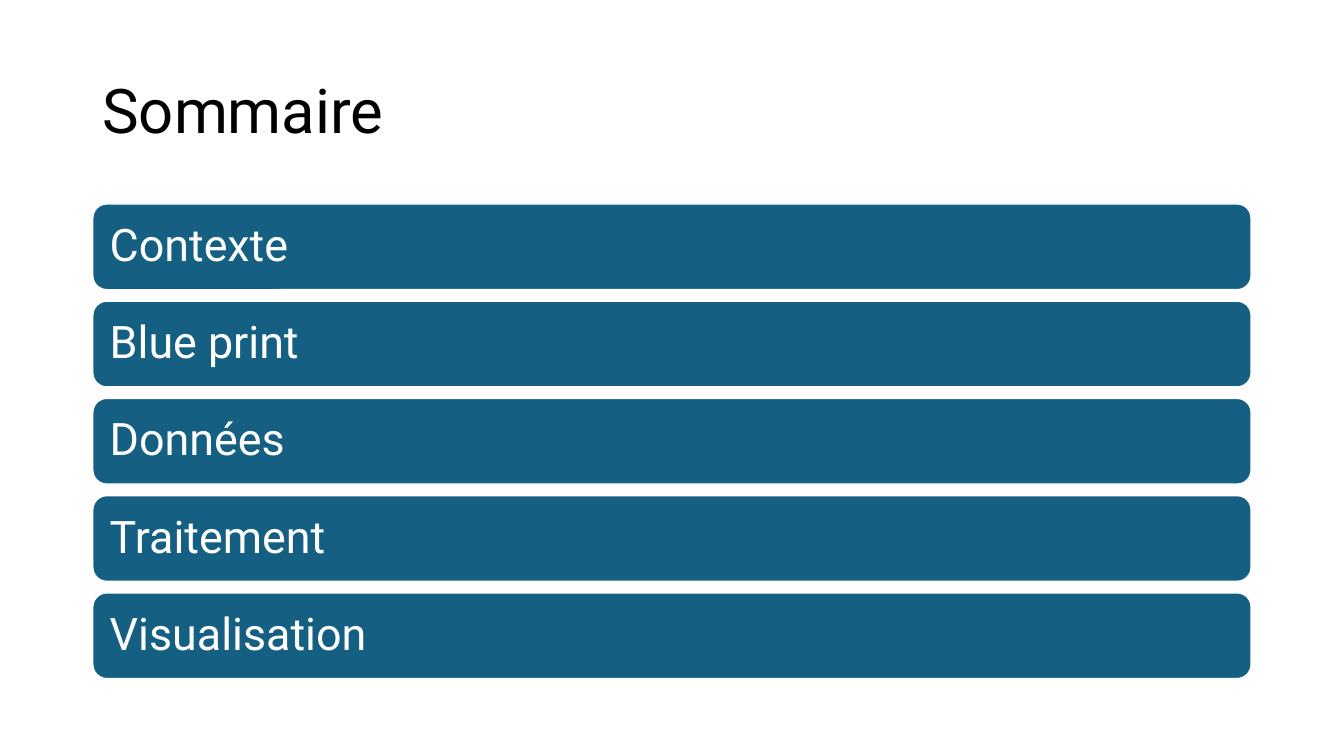
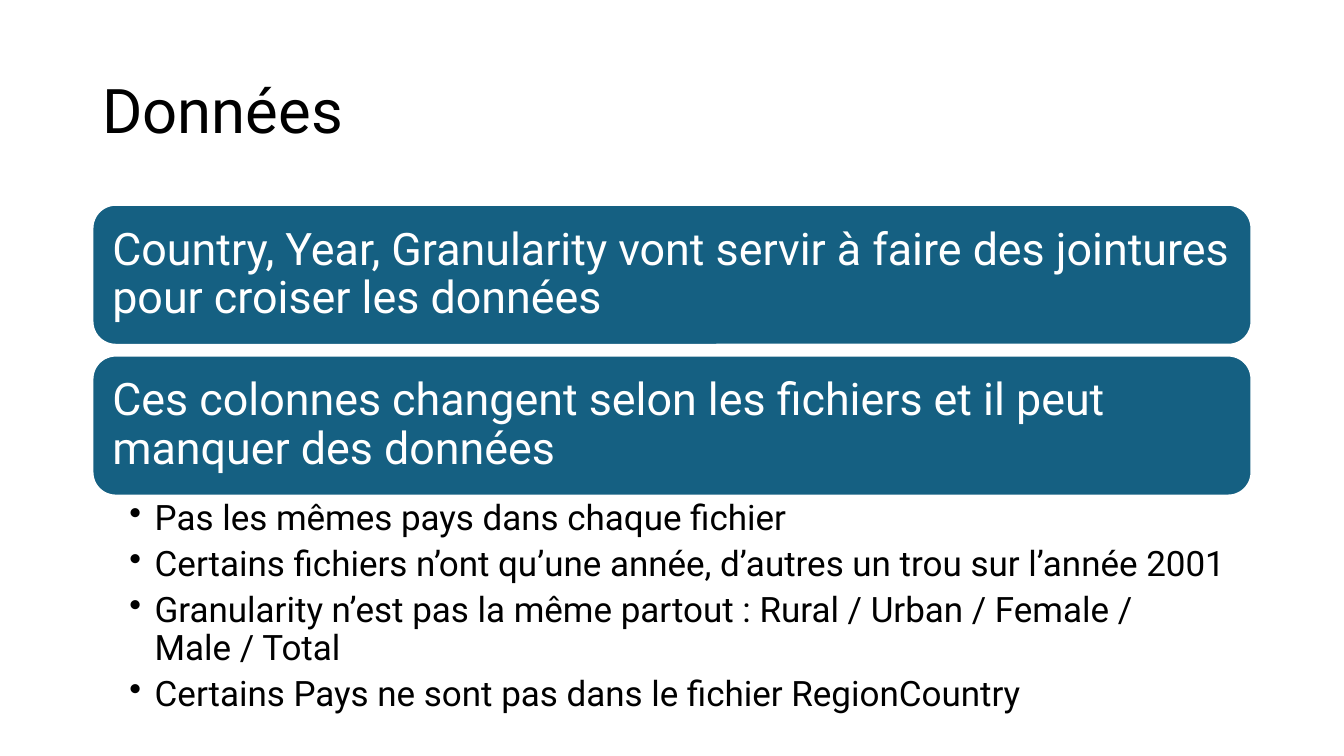
import lxml.etree
import pptx
import pptx.dml.color
import pptx.enum.shapes
import pptx.enum.text
import pptx.oxml.ns
import pptx.util

Cm = pptx.util.Cm
Pt = pptx.util.Pt

FONT = "Roboto"
BLUE = "156082"
WHITE = "FFFFFF"
BLACK = "000000"
LEFT, WIDTH = 2.33, 29.21
BAR_GAP = 0.27
BAR_INSET = 0.33


def color(value):
    return pptx.dml.color.RGBColor.from_string(value)


def set_frame(frame, anchor, left, top, right, bottom):
    frame.word_wrap = True
    frame.vertical_anchor = anchor
    frame.margin_left, frame.margin_top = Cm(left), Cm(top)
    frame.margin_right, frame.margin_bottom = Cm(right), Cm(bottom)


def write(paragraph, text, size, ink):
    paragraph.alignment = pptx.enum.text.PP_ALIGN.LEFT
    paragraph.line_spacing = 0.9
    run = paragraph.add_run()
    run.text = text
    run.font.name = FONT
    run.font.size = Pt(size)
    run.font.color.rgb = color(ink)


def add_titled_slide(deck, heading):
    slide = deck.slides.add_slide(deck.slide_layouts[5])
    title = slide.shapes.title
    title.left, title.top = Cm(LEFT), Cm(1.01)
    title.width, title.height = Cm(WIDTH), Cm(3.68)
    set_frame(title.text_frame, pptx.enum.text.MSO_ANCHOR.MIDDLE, 0.25, 0.13, 0.25, 0.13)
    write(title.text_frame.paragraphs[0], heading, 44, BLACK)
    return slide


def add_bars(slide, left, top, width, bar_height, labels):
    for index, label in enumerate(labels):
        bar = slide.shapes.add_shape(
            pptx.enum.shapes.MSO_SHAPE.ROUNDED_RECTANGLE,
            Cm(left), Cm(top + index * (bar_height + BAR_GAP)), Cm(width), Cm(bar_height))
        bar.shadow.inherit = False
        bar.fill.solid()
        bar.fill.fore_color.rgb = color(BLUE)
        bar.line.color.rgb = color(WHITE)
        bar.line.width = Pt(1.5)
        set_frame(bar.text_frame, pptx.enum.text.MSO_ANCHOR.MIDDLE, *[BAR_INSET] * 4)
        write(bar.text_frame.paragraphs[0], label, 32, WHITE)
    return top + len(labels) * (bar_height + BAR_GAP) - BAR_GAP


def add_bullets(slide, left, top, width, height, remarks):
    frame = slide.shapes.add_textbox(Cm(left), Cm(top), Cm(width), Cm(height)).text_frame
    set_frame(frame, pptx.enum.text.MSO_ANCHOR.TOP, 0.93, 0.11, 0.64, 0.11)
    for index, remark in enumerate(remarks):
        paragraph = frame.add_paragraph() if index else frame.paragraphs[0]
        paragraph.level = 1
        properties = paragraph._p.get_or_add_pPr()
        properties.set("marL", str(Cm(0.64)))
        properties.set("indent", str(-Cm(0.64)))
        bullet = lxml.etree.SubElement(properties, pptx.oxml.ns.qn("a:buChar"))
        bullet.set("char", "•")
        paragraph.space_after = Pt(6)
        write(paragraph, remark, 25, BLACK)


def build_summary(deck):
    slide = add_titled_slide(deck, "Sommaire")
    add_bars(slide, LEFT, 5.13, WIDTH, 2.18,
             ["Contexte", "Blue print", "Données", "Traitement", "Visualisation"])


def build_data(deck):
    slide = add_titled_slide(deck, "Données")
    bars_bottom = add_bars(slide, LEFT, 5.16, WIDTH, 3.53, [
        "Country, Year, Granularity vont servir à faire des jointures pour croiser les données",
        "Ces colonnes changent selon les fichiers et il peut manquer des données",
    ])
    add_bullets(slide, LEFT, bars_bottom, WIDTH, 5.79, [
        "Pas les mêmes pays dans chaque fichier",
        "Certains fichiers n’ont qu’une année, d’autres un trou sur l’année 2001",
        "Granularity n’est pas la même partout : Rural / Urban / Female / Male / Total",
        "Certains Pays ne sont pas dans le fichier RegionCountry",
    ])


def main():
    deck = pptx.Presentation()
    deck.slide_width, deck.slide_height = Cm(33.87), Cm(19.05)
    build_summary(deck)
    build_data(deck)
    deck.save("out.pptx")


if __name__ == "__main__":
    main()
